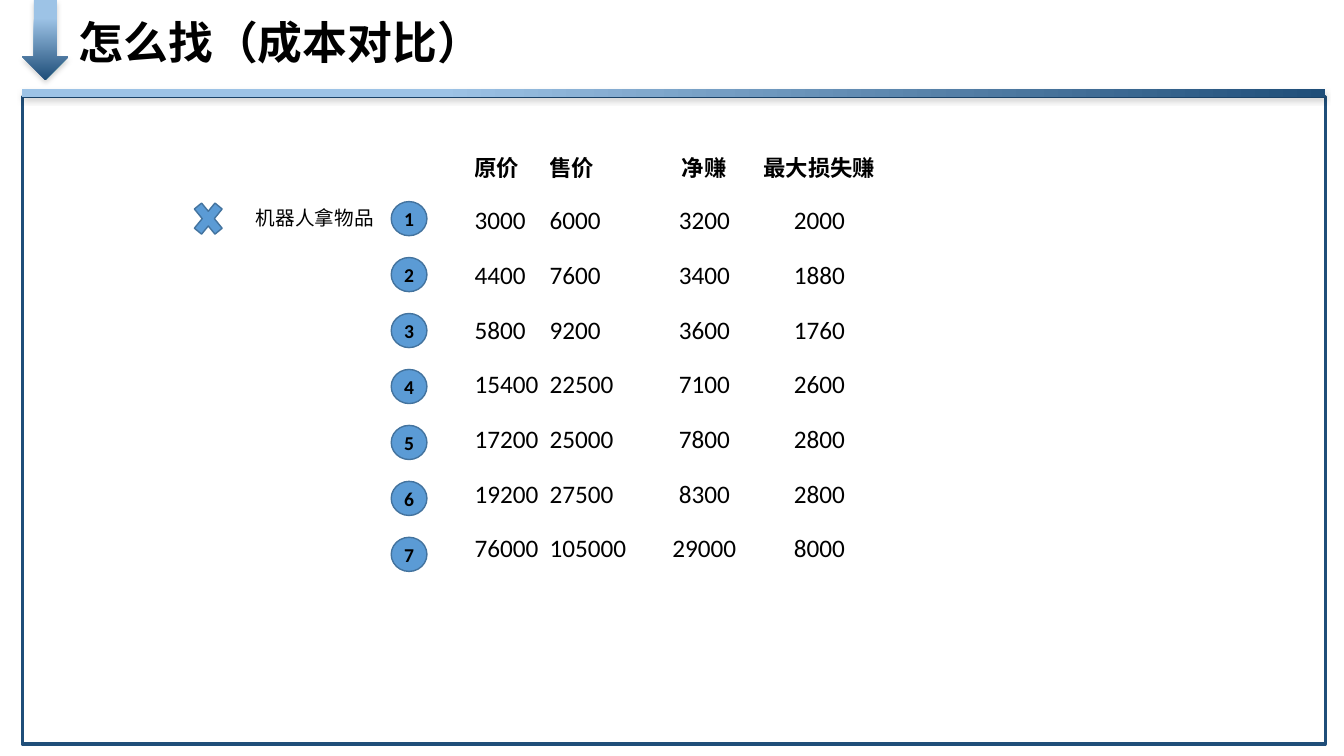
from lxml import etree
from pptx import Presentation
from pptx.dml.color import RGBColor
from pptx.enum.shapes import MSO_SHAPE
from pptx.enum.text import MSO_ANCHOR, PP_ALIGN
from pptx.oxml.ns import qn
from pptx.util import Cm, Pt

COLORS = {"text": "000000", "light": "9DC3E6", "dark": "1F4E79",
          "badge": "5B9BD5", "outline": "43739E"}
LATIN, CHINESE = "Calibri", "Noto Sans CJK SC"
ROWS = [
    ("原价", "售价", "净赚", "最大损失赚"),
    (3000, 6000, 3200, 2000),
    (4400, 7600, 3400, 1880),
    (5800, 9200, 3600, 1760),
    (15400, 22500, 7100, 2600),
    (17200, 25000, 7800, 2800),
    (19200, 27500, 8300, 2800),
    (76000, 105000, 29000, 8000),
]
COLUMN_WIDTHS = (1.89, 2.55, 2.7, 3.1)
COLUMN_ALIGNS = (PP_ALIGN.LEFT, PP_ALIGN.LEFT, PP_ALIGN.CENTER, PP_ALIGN.CENTER)


def color(name):
    """Return the named colour."""
    return RGBColor.from_string(COLORS[name])


def write(frame, text, size, bold=False, font=LATIN, align=PP_ALIGN.LEFT):
    """Set and format the single paragraph of a text frame."""
    frame.text = text
    para = frame.paragraphs[0]
    para.alignment = align
    span = para.runs[0]
    span.font.size, span.font.bold, span.font.name = Pt(size), bold, font
    span.font.color.rgb = color("text")
    east_asian = etree.SubElement(span.font._element, qn("a:ea"))
    east_asian.set("typeface", CHINESE)


def add_shape(page, kind, left, top, width, height, fill=None, line=None, weight=1):
    """Add a preset shape, measured in centimetres, without shadow."""
    shape = page.shapes.add_shape(kind, Cm(left), Cm(top), Cm(width), Cm(height))
    shape.shadow.inherit = False
    if fill:
        shape.fill.solid()
        shape.fill.fore_color.rgb = color(fill)
    else:
        shape.fill.background()
    if line:
        shape.line.color.rgb = color(line)
        shape.line.width = Pt(weight)
    else:
        shape.line.fill.background()
    return shape


def add_gradient(shape, start, angle):
    """Blend light into dark from the start position, with a soft shadow below."""
    shape.fill.gradient()
    shape.fill.gradient_angle = angle
    stops = zip(shape.fill.gradient_stops, (start, 1), ("light", "dark"))
    for stop, position, name in stops:
        stop.position = position
        stop.color.rgb = color(name)
    effects = shape._element.spPr.find(qn("a:effectLst"))
    shadow = etree.SubElement(effects, qn("a:outerShdw"), blurRad=str(Pt(4)),
                              dist=str(Pt(2.5)), dir="5400000", rotWithShape="0")
    tint = etree.SubElement(shadow, qn("a:srgbClr"), val="000000")
    etree.SubElement(tint, qn("a:alpha"), val="18000")


def add_header(page, left, top, width):
    """Place the arrow, the title and the bar beneath them."""
    arrow = add_shape(page, MSO_SHAPE.DOWN_ARROW, left, top, 1.17, 2.01)
    add_gradient(arrow, 0.23, 270)
    title = page.shapes.title
    title.left, title.top = Cm(left + 1.17), Cm(top + 0.23)
    title.width, title.height = Cm(12), Cm(1.62)
    title.text_frame.vertical_anchor = MSO_ANCHOR.MIDDLE
    write(title.text_frame, "怎么找（成本对比）", 32, True, CHINESE)
    bar = add_shape(page, MSO_SHAPE.RECTANGLE, left, top + 2.24, width, 0.2)
    add_gradient(bar, 0.32, 0)


def add_label(page, left, top):
    """Place the cross and the label of the first row."""
    add_shape(page, MSO_SHAPE.MATH_MULTIPLY, left, top, 1, 1.22, "badge", "outline")
    label = page.shapes.add_textbox(Cm(left + 1.45), Cm(top + 0.17), Cm(3.8), Cm(0.86))
    label.text_frame.word_wrap = True
    write(label.text_frame, "机器人拿物品", 14)


def add_badges(page, left, top, count, pitch=1.41):
    """Place a column of numbered circles."""
    for index in range(count):
        badge = add_shape(page, MSO_SHAPE.OVAL, left, top + index * pitch,
                          0.9, 0.86, "badge", "outline")
        frame = badge.text_frame
        frame.margin_left = frame.margin_right = 0
        frame.margin_top = frame.margin_bottom = 0
        frame.vertical_anchor = MSO_ANCHOR.MIDDLE
        write(frame, str(index + 1), 14, True, align=PP_ALIGN.CENTER)


def add_cost_table(page, left, top, row_height=1.38):
    """Place the cost comparison as a plain table."""
    holder = page.shapes.add_table(len(ROWS), len(COLUMN_WIDTHS), Cm(left), Cm(top),
                                   Cm(sum(COLUMN_WIDTHS)), Cm(row_height * len(ROWS)))
    table = holder.table
    table.first_row = table.horz_banding = False
    for column, width in zip(table.columns, COLUMN_WIDTHS):
        column.width = Cm(width)
    for row_index, values in enumerate(ROWS):
        table.rows[row_index].height = Cm(row_height)
        is_head = row_index == 0
        for column_index, value in enumerate(values):
            cell = table.cell(row_index, column_index)
            cell.fill.background()
            cell.margin_left = cell.margin_right = 0
            cell.vertical_anchor = MSO_ANCHOR.MIDDLE
            write(cell.text_frame, str(value), 16 if is_head else 18, is_head,
                  align=COLUMN_ALIGNS[column_index])


def add_content(page, left, top, width, height):
    """Place the framed area with the numbered cost comparison."""
    add_shape(page, MSO_SHAPE.RECTANGLE, left, top, width, height,
              line="dark", weight=2.25)
    add_label(page, left + 4.19, top + 2.46)
    add_badges(page, left + 9.3, top + 2.64, len(ROWS) - 1)
    add_cost_table(page, left + 11.4, top + 1.06)


deck = Presentation()
deck.slide_width, deck.slide_height = Cm(33.87), Cm(19.05)
page = deck.slides.add_slide(deck.slide_layouts[5])
add_content(page, 0.56, 2.44, 32.84, 16.31)
add_header(page, 0.56, 0, 32.84)
deck.save("out.pptx")
